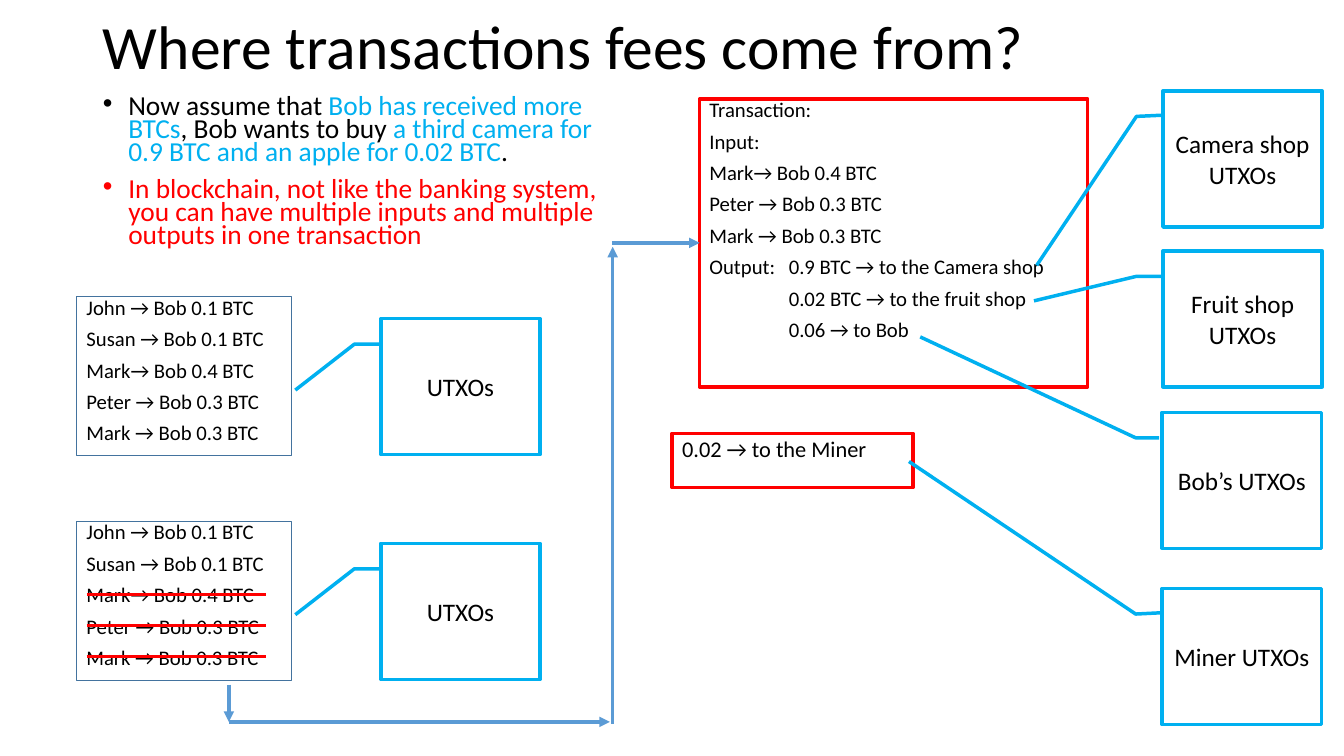
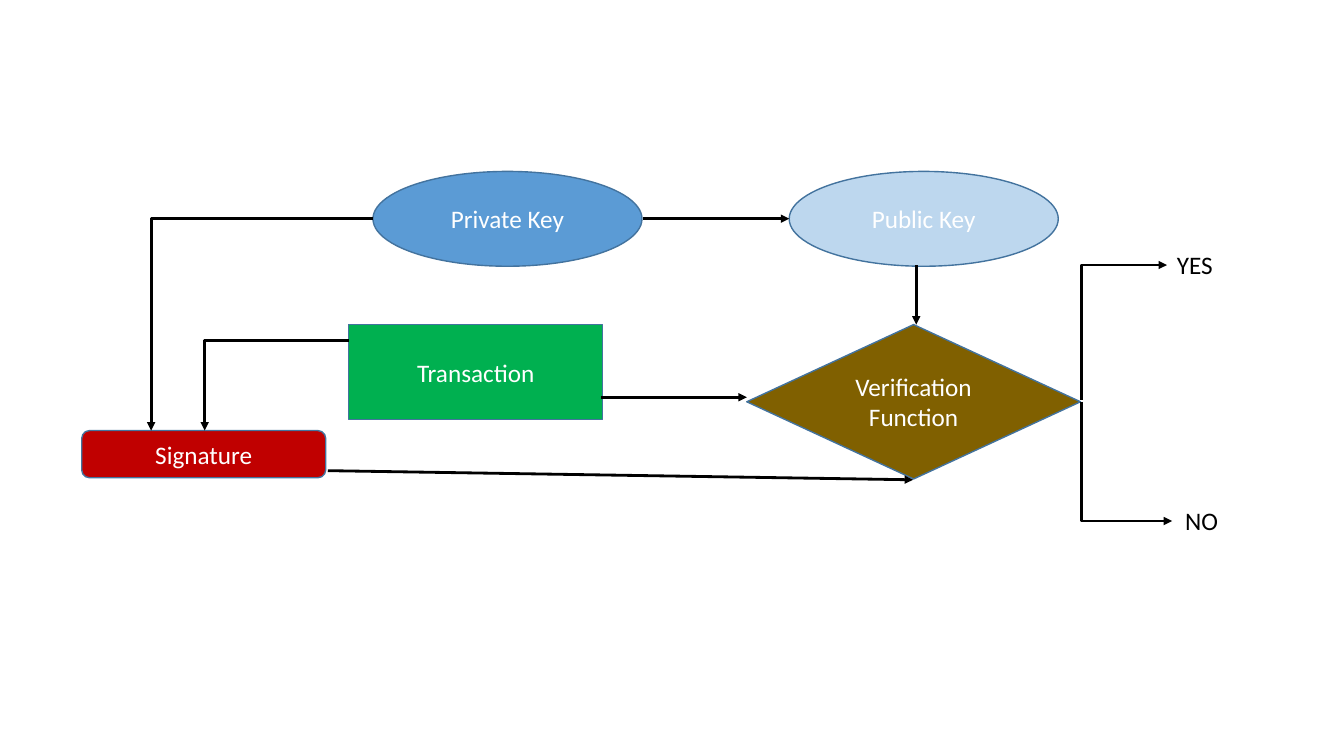
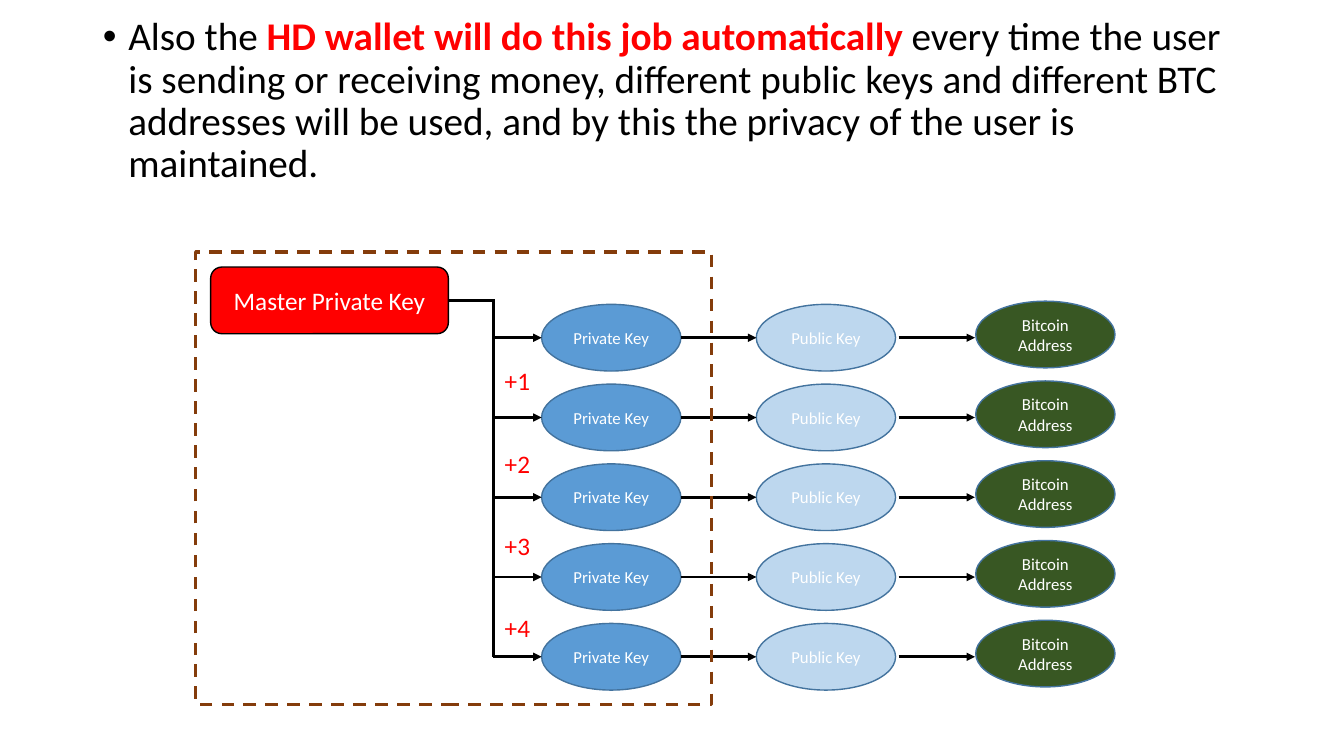
"""Build three slides on transaction fees, signatures and wallet keys."""
from lxml.etree import SubElement as Sub
from pptx import Presentation as Deck
from pptx.dml.color import RGBColor as RGB
from pptx.enum.dml import MSO_LINE as Dash
from pptx.enum.shapes import MSO_CONNECTOR as Conn, MSO_SHAPE as Form
from pptx.enum.text import MSO_ANCHOR as Anchor, MSO_AUTO_SIZE as Fit, PP_ALIGN as Align
from pptx.oxml.ns import qn
from pptx.util import Cm, Pt

BLACK = RGB(0x00, 0x00, 0x00)
WHITE = RGB(0xFF, 0xFF, 0xFF)
RED = RGB(0xFF, 0x00, 0x00)
SKY = RGB(0x00, 0xB0, 0xF0)
BLUE = RGB(0x5B, 0x9B, 0xD5)
PALE = RGB(0xBD, 0xD7, 0xEE)
EDGE = RGB(0x43, 0x73, 0x9E)
CRIMSON = RGB(0xC0, 0x00, 0x00)
GREEN = RGB(0x00, 0xB0, 0x50)
OLIVE = RGB(0x80, 0x60, 0x00)
MOSS = RGB(0x38, 0x57, 0x23)
BROWN = RGB(0x84, 0x3C, 0x0B)

LEFT = {"alignment": Align.LEFT}
MID = {"alignment": Align.CENTER}
HEAD = {**LEFT, "line_spacing": 0.9, "space_before": Pt(0)}
LOOSE = {**LEFT, "line_spacing": 0.9, "space_before": Pt(10)}
TIGHT = {**LOOSE, "line_spacing": 0.7}
BULLET = (0.64, -0.64)

TITLE = "Where transactions fees come from?"
POINTS = [
    [("Now assume that ", BLACK), ("Bob has received more BTCs", SKY),
     (", Bob wants to buy ", BLACK),
     ("a third camera for 0.9 BTC and an apple for 0.02 BTC", SKY), (".", BLACK)],
    [("In blockchain, not like the banking system, you can have multiple inputs "
      "and multiple outputs in one transaction", RED)],
]
WALLET = [[
    ("Also the ", BLACK),
    ("HD wallet will do this job automatically ", RED, True),
    ("every time the user is sending or receiving money, different public keys and "
     "different BTC addresses will be used, and by this the privacy of the user is "
     "maintained.", BLACK),
]]

SPENT = ["Mark→ Bob 0.4 BTC", "Peter → Bob 0.3 BTC", "Mark → Bob 0.3 BTC"]
COINS = ["John → Bob 0.1 BTC", "Susan → Bob 0.1 BTC", *SPENT]
ORDER = ["Transaction:", "Input:", *SPENT]
OUTPUT = ["Output:\t0.9 BTC → to the Camera shop", "0.02 BTC → to the fruit shop",
          "0.06 → to Bob"]
DENTS = [(0, 0)] * len(ORDER) + [(2, -2), (2, 0), (2, 0)]
STOCK = (0.188, -0.013, 0.188, -0.167, 0.525, -0.538)
CALLS = [
    ("UTXOs", 9.6, 8.03, STOCK),
    ("UTXOs", 9.6, 13.69, STOCK),
    ("Camera shop UTXOs", 29.31, 2.29, (0.179, 0.001, 0.188, -0.167, 1.282, -0.794)),
    ("Fruit shop UTXOs", 29.31, 6.32, (0.188, 0.008, 0.188, -0.167, 0.368, -0.811)),
    ("Bob’s UTXOs", 29.29, 10.39, (0.188, -0.02, 0.188, -0.167, -0.554, -1.521)),
    ("Miner UTXOs", 29.29, 14.83, (0.179, -0.013, 0.188, -0.167, -0.933, -1.592)),
]
FLOW = [(5.77, 17.25, 5.77, 18.19), (5.77, 18.19, 15.37, 18.19),
        (15.44, 18.24, 15.44, 6.22)]

NODES = [
    ("Signature", Form.ROUNDED_RECTANGLE, (2.06, 10.85, 6.15, 1.19), CRIMSON),
    ("Private Key", Form.OVAL, (9.4, 4.32, 6.78, 2.39), BLUE),
    ("Transaction", Form.RECTANGLE, (8.79, 8.18, 6.4, 2.39), GREEN),
    ("Verification Function", Form.DIAMOND, (18.82, 8.18, 8.41, 3.89), OLIVE),
    ("Public Key", Form.OVAL, (19.89, 4.32, 6.78, 2.39), PALE),
]
BENDS = [((9.4, 5.51, 3.81, 10.85), 1), ((8.79, 8.59, 5.16, 10.85), 1),
         ((27.25, 10.08, 29.41, 6.68), 0), ((27.25, 10.13, 29.54, 13.13), 0)]
LINKS = [(16.21, 5.51, 19.89, 5.51), (23.09, 6.68, 23.09, 8.18),
         (15.14, 10.01, 18.82, 10.01), (8.26, 11.86, 23.01, 12.09)]
ANSWERS = [("YES", 29.41, 6.17), ("NO", 29.62, 12.62)]

KEYS = [("Private Key", 13.65, 0, BLUE), ("Public Key", 19.06, 0, PALE),
        ("Bitcoin Address", 24.59, -0.08, MOSS)]
ROWS, TOP, STEP = 5, 7.67, 2.01
WIDE, HIGH = 3.51, 1.68
TRUNK = 12.43


def style(thing, looks):
    for name, value in looks.items():
        setattr(thing, name, value)


def write(frame, paras, size, ink, looks, dents=()):
    """Fill a frame; a paragraph is a string or a list of (text, colour, bold)."""
    frame.word_wrap = True
    for i, para in enumerate(paras):
        line = frame.paragraphs[0] if i == 0 else frame.add_paragraph()
        style(line, looks)
        if dents:
            margin, indent = dents[i]
            props = line._p.get_or_add_pPr()
            props.set("marL", str(Cm(margin)))
            props.set("indent", str(Cm(indent)))
        for text, hue, *bold in [(para, ink)] if isinstance(para, str) else para:
            run = line.add_run()
            run.text = text
            style(run.font, {"name": "Calibri", "size": Pt(size), "bold": bool(bold)})
            run.font.color.rgb = hue


def place(holder, at, paras, size, looks, dents=(), anchor=Anchor.TOP):
    style(holder, dict(zip(("left", "top", "width", "height"), map(Cm, at))))
    style(holder.text_frame, {"auto_size": Fit.NONE, "vertical_anchor": anchor})
    write(holder.text_frame, paras, size, BLACK, looks, dents)


def draw(slide, form, at, fill=None, edge=EDGE, width=1):
    shape = slide.shapes.add_shape(form, *map(Cm, at))
    shape.shadow.inherit = False
    if fill is None:
        shape.fill.background()
    else:
        shape.fill.solid()
        shape.fill.fore_color.rgb = fill
    shape.line.color.rgb = edge
    shape.line.width = Pt(width)
    return shape


def node(slide, text, form, at, fill, size=18, edge=EDGE):
    shape = draw(slide, form, at, fill, edge)
    write(shape.text_frame, [text], size, WHITE, MID)
    return shape


def panel(slide, at, paras, edge, width, size=14.8, looks=TIGHT, dents=()):
    shape = draw(slide, Form.RECTANGLE, at, None, edge, width)
    shape.text_frame.vertical_anchor = Anchor.TOP
    write(shape.text_frame, paras, size, BLACK, looks, dents)
    return shape


def label(slide, text, at, ink):
    frame = slide.shapes.add_textbox(*map(Cm, at)).text_frame
    frame.margin_right = 0
    write(frame, [text], 18, ink, LEFT)


def link(slide, ends, ink=BLACK, width=2, arrow=True, bend=None):
    kind = Conn.STRAIGHT if bend is None else Conn.ELBOW
    wire = slide.shapes.add_connector(kind, *map(Cm, ends))
    wire.line.color.rgb = ink
    wire.line.width = Pt(width)
    if arrow:
        Sub(wire.line._get_or_add_ln(), qn("a:tailEnd"), type="triangle")
    props = wire._element.spPr
    Sub(props, qn("a:effectLst"))
    if bend is not None:
        guides = props.find(".//" + qn("a:avLst"))
        Sub(guides, qn("a:gd"), name="adj1", fmla=f"val {bend * 100000}")
    return wire


def fees(deck):
    slide = deck.slides.add_slide(deck.slide_layouts[1])
    place(slide.shapes.title, (2.34, 0.18, 29.21, 2.13), [TITLE], 44, HEAD,
          anchor=Anchor.MIDDLE)
    place(slide.placeholders[1], (2.34, 2.31, 13.03, 5.18), POINTS, 19.6, TIGHT,
          [BULLET] * len(POINTS))
    for top in (7.47, 13.13):
        panel(slide, (1.93, top, 5.41, 4.01), COINS, EDGE, 0.75)
    order = panel(slide, (17.63, 2.49, 9.78, 7.26), ORDER + OUTPUT, RED, 2.5,
                  dents=DENTS)
    panel(slide, (16.94, 10.92, 6.07, 1.37), ["0.02 → to the Miner"], RED, 2.5, 16, LOOSE)
    for text, left, top, bends in CALLS:
        call = draw(slide, Form.LINE_CALLOUT_2, (left, top, 4.01, 3.43), None, SKY, 2.5)
        for i, bend in enumerate(bends):
            call.adjustments[i] = bend
        write(call.text_frame, [text], 18, BLACK, MID)
    for i in range(len(SPENT)):
        high = 14.99 + 0.78 * i
        link(slide, (2.18, high, 6.71, high), RED, arrow=False)
    for ends in FLOW:
        link(slide, ends, BLUE, 2.5)
    link(slide, (15.42, 6.12, 17.63, 6.12), BLUE, 2.5).end_connect(order, 1)


def proof(deck):
    slide = deck.slides.add_slide(deck.slide_layouts[6])
    for item in NODES:
        node(slide, *item)
    for ends, bend in BENDS:
        link(slide, ends, bend=bend)
    for ends in LINKS:
        link(slide, ends)
    for text, left, top in ANSWERS:
        label(slide, text, (left, top, 1.55, 1.02), BLACK)


def keys(deck):
    slide = deck.slides.add_slide(deck.slide_layouts[1])
    title = slide.shapes.title._element
    title.getparent().remove(title)
    place(slide.placeholders[1], (2.34, 0.3, 29.21, 9.83), WALLET, 28, LOOSE, [BULLET])
    for row in range(ROWS):
        top = TOP + STEP * row
        mid = top + HIGH / 2
        for text, left, shift, fill in KEYS:
            node(slide, text, Form.OVAL, (left, top + shift, WIDE, HIGH), fill, 12)
        for start, end in ((TRUNK, 13.65), (17.16, 19.06), (22.65, 24.57)):
            link(slide, (start, mid, end, mid))
    master = node(slide, "Master Private Key", Form.ROUNDED_RECTANGLE,
                  (5.31, 6.73, 5.99, 1.68), RED, edge=BLACK)
    link(slide, (11.3, 7.57, TRUNK, 7.57), arrow=False).begin_connect(master, 3)
    link(slide, (TRUNK, 7.54, TRUNK, mid), arrow=False)
    frame = draw(slide, Form.RECTANGLE, (4.93, 6.35, 13, 11.4), None, BROWN, 2.25)
    frame.line.dash_style = Dash.DASH
    for i in range(1, ROWS):
        label(slide, f"+{i}", (12.47, 7.02 + 2.07 * i, 1.19, 1.57), RED)


def main():
    deck = Deck()
    style(deck, {"slide_width": Cm(33.87), "slide_height": Cm(19.05)})
    for build in (fees, proof, keys):
        build(deck)
    deck.save("out.pptx")


if __name__ == "__main__":
    main()
